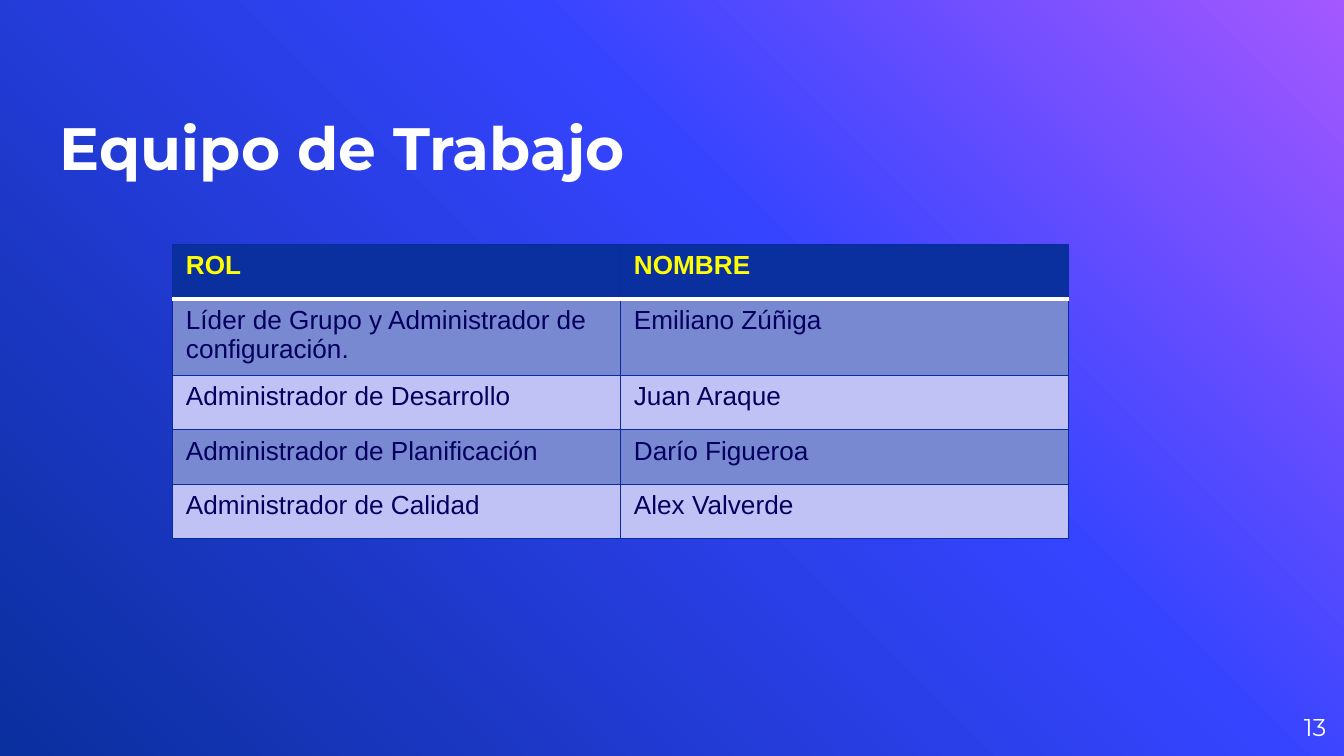
import copy
from dataclasses import dataclass

import pptx
import pptx.dml.color
import pptx.enum.text
import pptx.oxml
import pptx.oxml.ns
import pptx.util

Pt = pptx.util.Pt
ANCHOR = pptx.enum.text.MSO_ANCHOR
ALIGN = pptx.enum.text.PP_ALIGN


def rgb(value):
    return pptx.dml.color.RGBColor.from_string(value)


@dataclass(frozen=True)
class Theme:
    gradient: tuple = ((0, "A458FF"), (0.39, "3544FF"), (1, "0A2F9E"))
    heading_font: str = "Montserrat"
    table_font: str = "Arial"
    white: str = "FFFFFF"
    header_fill: str = "0A2F9E"
    header_text: str = "FFFF00"
    body_text: str = "050060"
    bands: tuple = ("7888D1", "C0C1F4")
    border: str = "062C9E"
    title_size: float = 32
    number_size: float = 13
    table_size: float = 14
    border_width: float = 0.75
    header_rule: float = 2


class Deck:
    def __init__(self, prs, theme):
        self.theme = theme
        self.s = prs.slides.add_slide(prs.slide_layouts[6])

    def background(self):
        """Fill the slide with the theme gradient, top right to bottom left."""
        fill = self.s.background.fill
        fill.gradient()
        fill.gradient_angle = 225
        stops = self.s.element.find(".//" + pptx.oxml.ns.qn("a:gsLst"))
        stops.append(copy.deepcopy(stops[-1]))
        for stop, (position, color) in zip(fill.gradient_stops, self.theme.gradient):
            stop.position = position
            stop.color.rgb = rgb(color)

    def style(self, p, font, size, color, bold=False):
        p.font.name = font
        p.font.size = Pt(size)
        p.font.bold = bold
        p.font.color.rgb = rgb(color)

    def text(self, text, box, size, bold=False, anchor=ANCHOR.MIDDLE, align=ALIGN.LEFT):
        tf = self.s.shapes.add_textbox(*map(Pt, box)).text_frame
        tf.word_wrap = True
        tf.vertical_anchor = anchor
        tf.margin_left = tf.margin_right = tf.margin_top = tf.margin_bottom = 0
        p = tf.paragraphs[0]
        p.text = text
        p.alignment = align
        self.style(p, self.theme.heading_font, size, self.theme.white, bold)

    def cell_border(self, cell, side, color, width):
        """Draw one side (L, R, T or B); call in that order, before the fill."""
        line = pptx.oxml.parse_xml(
            f'<a:ln{side} {pptx.oxml.ns.nsdecls("a")} w="{Pt(width)}"><a:solidFill>'
            f'<a:srgbClr val="{color}"/></a:solidFill></a:ln{side}>')
        cell._tc.get_or_add_tcPr().append(line)

    def table(self, rows, left, top, column_width, row_height):
        t = self.theme
        columns = len(rows[0])
        table = self.s.shapes.add_table(
            len(rows), columns, Pt(left), Pt(top),
            Pt(columns * column_width), Pt(len(rows) * row_height)).table
        for i, row in enumerate(rows):
            header = i == 0
            fill = t.header_fill if header else t.bands[(i - 1) % 2]
            color = t.header_text if header else t.body_text
            for j, text in enumerate(row):
                cell = table.cell(i, j)
                cell.text = text
                self.style(cell.text_frame.paragraphs[0], t.table_font,
                           t.table_size, color, header)
                for side in "LRTB":
                    rule = (i, side) in ((0, "B"), (1, "T"))
                    self.cell_border(cell, side, t.white if rule else t.border,
                                     t.header_rule if rule else t.border_width)
                cell.fill.solid()
                cell.fill.fore_color.rgb = rgb(fill)


def main():
    prs = pptx.Presentation()
    prs.slide_width, prs.slide_height = Pt(720), Pt(405)
    theme = Theme()
    deck = Deck(prs, theme)
    deck.background()
    deck.text("Equipo de Trabajo", (32, 23, 317, 75), theme.title_size,
              bold=True, anchor=ANCHOR.BOTTOM)
    deck.text("13", (667.5, 374, 43, 31), theme.number_size, align=ALIGN.RIGHT)
    deck.table([
        ("ROL", "NOMBRE"),
        ("Líder de Grupo y Administrador de configuración.", "Emiliano Zúñiga"),
        ("Administrador de Desarrollo", "Juan Araque"),
        ("Administrador de Planificación", "Darío Figueroa"),
        ("Administrador de Calidad", "Alex Valverde"),
    ], left=92.4, top=131, column_width=240, row_height=29.2)
    prs.save("out.pptx")


if __name__ == "__main__":
    main()
